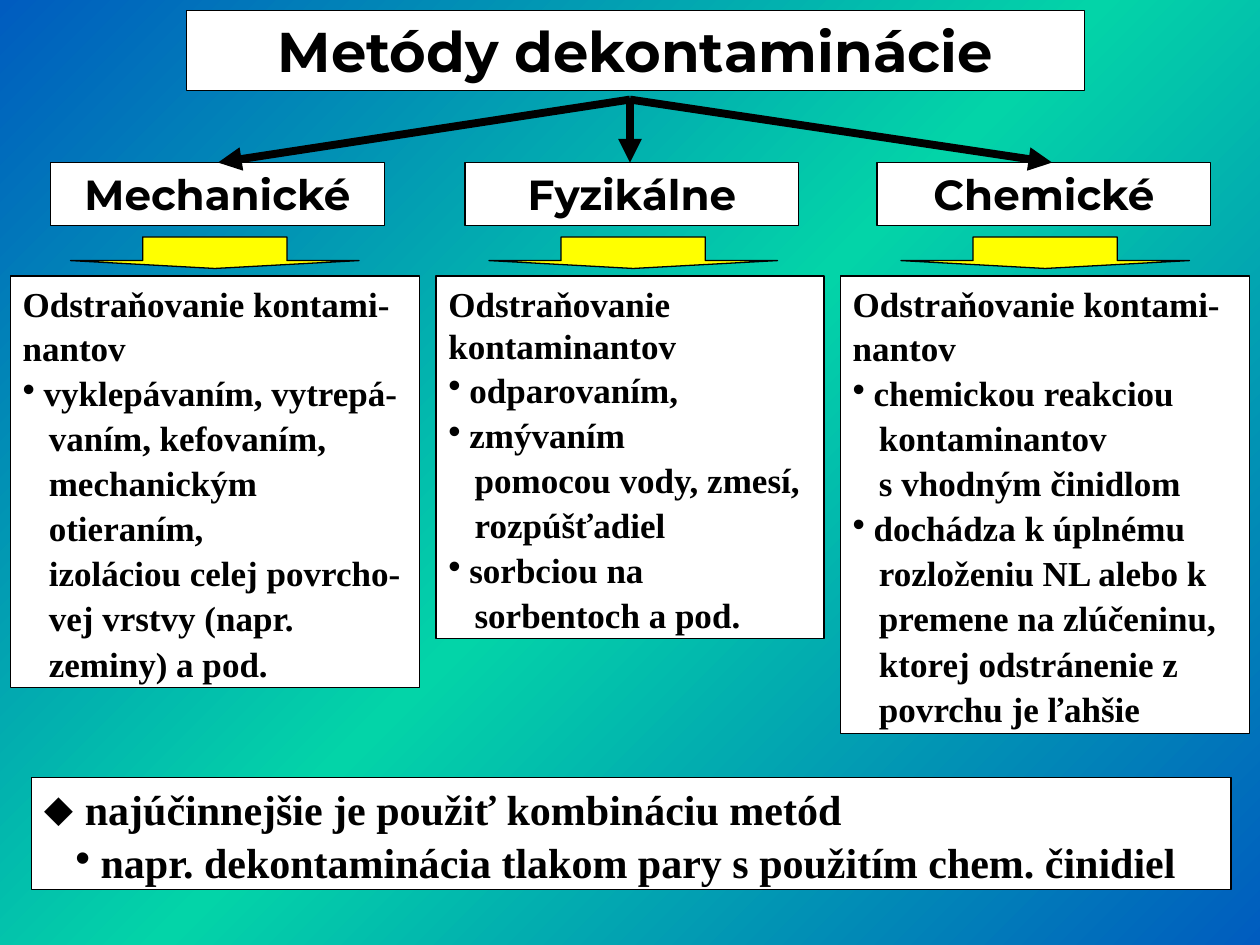
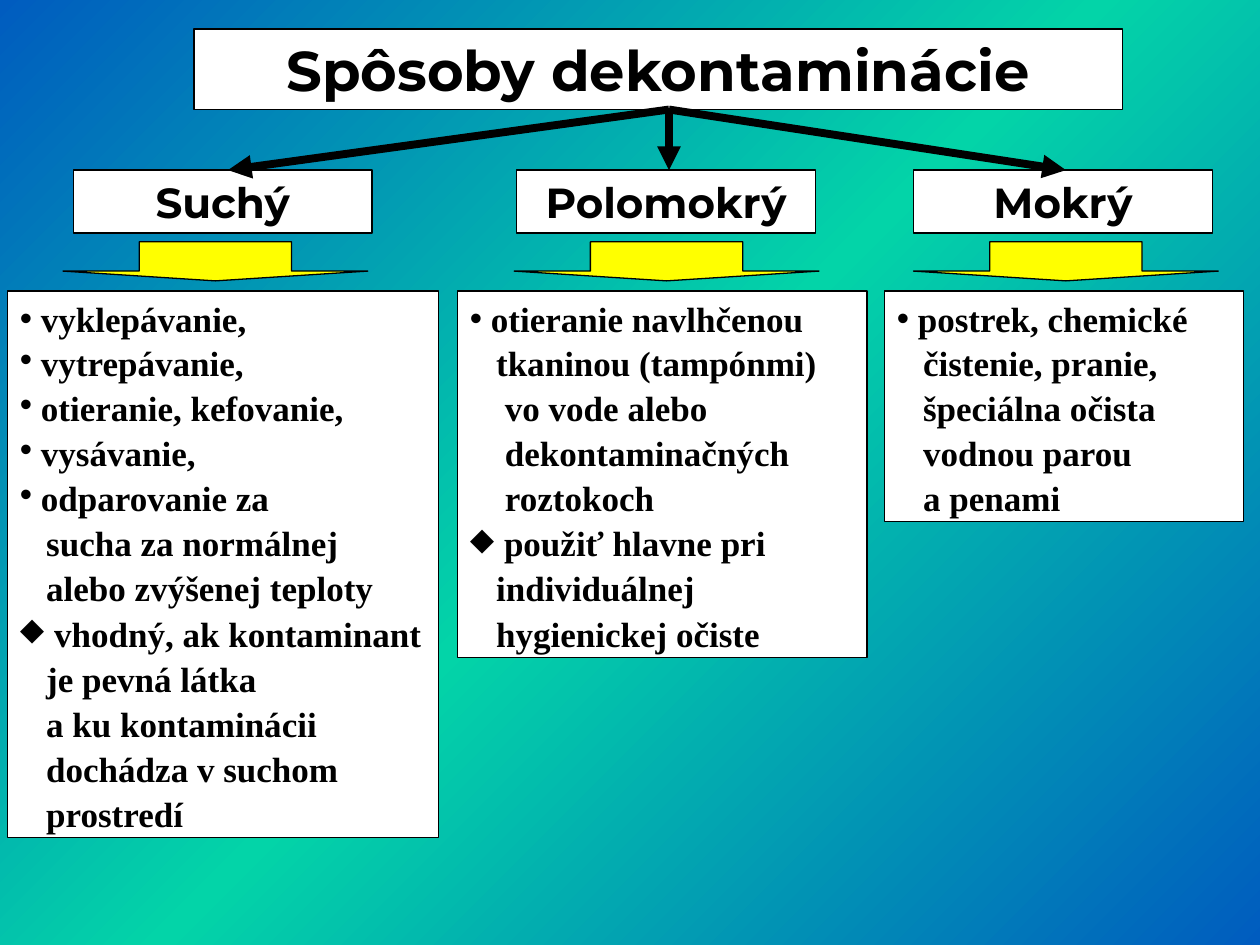
"""Build two slides on the methods and the ways of decontamination."""
import lxml.etree
import pptx
import pptx.dml.color
import pptx.enum.shapes
import pptx.enum.text
import pptx.oxml.ns
import pptx.util

Pt = pptx.util.Pt
qn = pptx.oxml.ns.qn
SHAPES = pptx.enum.shapes.MSO_SHAPE
ALIGN = pptx.enum.text.PP_ALIGN

COLORS = {"ink": "000000", "paper": "FFFFFF", "arrow": "FFFF00", "edge": "005CBF", "middle": "03D4A8"}
HEADING_FONT = "Montserrat"
BODY_FONT = "Times New Roman"

# Leading mark of a line: bullet sign, left margin and first-line indent at 20 pt.
MARKS = {
    "•": ("•", 12, -12),
    "⬥": ("⬥", 19.5, -19.5),
    "◦": ("•", 27, -12),
    ">": (None, 15, 0),
    "»": (None, 20, 0),
}

SLIDES = [
    {
        "title": ("Metódy dekontaminácie", 106.5, 5.8, 513.4),
        "fork": (360, 56.9),
        "heading_top": 92.9, "heading_width": 190.8,
        "arrow_top": 135.4, "arrow_size": (164.9, 18),
        "body_top": 157.7,
        "columns": [
            {"heading": "Mechanické", "heading_left": 28.8, "target": 124.6, "arrow_left": 40.3,
             "body": (5.8, 234, 235.4),
             "lines": ["Odstraňovanie kontami-", "nantov", "•vyklepávaním, vytrepá-",
                       ">vaním, kefovaním,", ">mechanickým", ">otieraním,",
                       ">izoláciou celej povrcho-", ">vej vrstvy (napr.", ">zeminy) a pod."]},
            {"heading": "Fyzikálne", "heading_left": 265.7, "target": 360, "arrow_left": 279.4,
             "body": (249.1, 221.8, 207.4),
             "lines": ["Odstraňovanie kontaminantov", "•odparovaním,", "•zmývaním",
                       ">pomocou vody, zmesí,", ">rozpúšťadiel", "•sorbciou na",
                       ">sorbentoch a pod."]},
            {"heading": "Chemické", "heading_left": 501.1, "target": 601.2, "arrow_left": 514.8,
             "body": (480.2, 234, 261.4),
             "lines": ["Odstraňovanie kontami-", "nantov", "•chemickou reakciou",
                       ">kontaminantov", ">s vhodným činidlom", "•dochádza k úplnému",
                       ">rozloženiu NL alebo k", ">premene na zlúčeninu,",
                       ">ktorej odstránenie z", ">povrchu je ľahšie"]},
        ],
        "summary": ["⬥najúčinnejšie je použiť kombináciu metód",
                    "◦napr. dekontaminácia tlakom pary s použitím chem. činidiel"],
    },
    {
        "title": ("Spôsoby dekontaminácie", 110.9, 16.6, 530.6),
        "fork": (382.3, 62.6),
        "heading_top": 97.2, "heading_width": 170.8,
        "arrow_top": 138.2, "arrow_size": (174.2, 22.3),
        "body_top": 166.3,
        "columns": [
            {"heading": "Suchý", "heading_left": 41.8, "target": 130.3, "arrow_left": 36,
             "body": (4.3, 246.2, 312.5),
             "lines": ["•vyklepávanie,", "•vytrepávanie,", "•otieranie, kefovanie,",
                       "•vysávanie,", "•odparovanie za", ">sucha za normálnej",
                       ">alebo zvýšenej teploty", "⬥vhodný, ak kontaminant",
                       ">je pevná látka", ">a ku kontaminácii", ">dochádza v suchom",
                       ">prostredí"]},
            {"heading": "Polomokrý", "heading_left": 295.2, "target": 382.3, "arrow_left": 293.8,
             "body": (261.4, 234, 209.5),
             "lines": ["•otieranie navlhčenou", ">tkaninou (tampónmi)", "»vo vode alebo",
                       "»dekontaminačných", "»roztokoch", "⬥použiť hlavne pri",
                       ">individuálnej", ">hygienickej očiste"]},
            {"heading": "Mokrý", "heading_left": 522, "target": 609.1, "arrow_left": 522,
             "body": (505.4, 205.2, 131.8),
             "lines": ["•postrek, chemické", ">čistenie, pranie,", ">špeciálna očista",
                       ">vodnou parou", ">a penami"]},
        ],
        "summary": [],
    },
]


def add_block(page, kind, left, top, width, height, fill):
    """Add an outlined preset shape."""
    block = page.shapes.add_shape(kind, Pt(left), Pt(top), Pt(width), Pt(height))
    block.shadow.inherit = False
    block.fill.solid()
    block.fill.fore_color.rgb = pptx.dml.color.RGBColor.from_string(COLORS[fill])
    block.line.color.rgb = pptx.dml.color.RGBColor.from_string(COLORS["ink"])
    block.line.width = Pt(0.75)
    return block


def write_text(box, lines, size=20, font=BODY_FONT, align=ALIGN.LEFT):
    """Write one paragraph per line, with bullets and indents from the marks."""
    frame = box.text_frame
    frame.word_wrap = True
    frame.auto_size = pptx.enum.text.MSO_AUTO_SIZE.SHAPE_TO_FIT_TEXT
    frame.vertical_anchor = pptx.enum.text.MSO_ANCHOR.TOP
    for index, line in enumerate(lines):
        para = frame.paragraphs[0] if index == 0 else frame.add_paragraph()
        para.alignment = align
        if index > 0:
            para.line_spacing = 0.45
            para.space_before = Pt(size * 0.625)
            para.space_after = Pt(size * 0.125)
        if line[0] in MARKS:
            sign, margin, indent = MARKS[line[0]]
            line = line[1:]
            properties = para._p.get_or_add_pPr()
            properties.set("marL", str(Pt(margin * size / 20)))
            properties.set("indent", str(Pt(indent * size / 20)))
            if sign:
                lxml.etree.SubElement(properties, qn("a:buFont"), typeface="Arial")
                lxml.etree.SubElement(properties, qn("a:buChar"), char=sign)
        span = para.add_run()
        span.text = line
        span.font.name = font
        span.font.size = Pt(size)
        span.font.bold = True
        span.font.color.rgb = pptx.dml.color.RGBColor.from_string(COLORS["ink"])


deck = pptx.Presentation()
deck.slide_width, deck.slide_height = Pt(720), Pt(540)

for content in SLIDES:
    page = deck.slides.add_slide(deck.slide_layouts[6])
    backdrop = page.background.fill
    backdrop.gradient()
    backdrop.gradient_angle = 135
    stops = next(page._element.iter(qn("a:gsLst")))
    for stop in list(stops):
        stops.remove(stop)
    for percent, color in ((0, "edge"), (50, "middle"), (100, "edge")):
        stop = lxml.etree.SubElement(stops, qn("a:gs"), pos=str(percent * 1000))
        lxml.etree.SubElement(stop, qn("a:srgbClr"), val=COLORS[color])

    title, left, top, width = content["title"]
    box = add_block(page, SHAPES.RECTANGLE, left, top, width, 46, "paper")
    write_text(box, [title], size=32, font=HEADING_FONT, align=ALIGN.CENTER)

    fork_x, fork_y = content["fork"]
    for column in content["columns"]:
        box = add_block(page, SHAPES.RECTANGLE, column["heading_left"], content["heading_top"],
                        content["heading_width"], 36, "paper")
        write_text(box, [column["heading"]], size=24, font=HEADING_FONT, align=ALIGN.CENTER)

        left, width, height = column["body"]
        box = add_block(page, SHAPES.RECTANGLE, left, content["body_top"], width, height, "paper")
        write_text(box, column["lines"])

        branch = page.shapes.add_connector(
            pptx.enum.shapes.MSO_CONNECTOR.STRAIGHT, Pt(fork_x), Pt(fork_y),
            Pt(column["target"]), Pt(content["heading_top"]))
        branch.line.color.rgb = pptx.dml.color.RGBColor.from_string(COLORS["ink"])
        branch.line.width = Pt(4.5)
        lxml.etree.SubElement(branch.line._get_or_add_ln(), qn("a:tailEnd"), type="triangle")
        lxml.etree.SubElement(branch._element.spPr, qn("a:effectLst"))

        arrow = add_block(page, SHAPES.DOWN_ARROW, column["arrow_left"], content["arrow_top"],
                          *content["arrow_size"], "arrow")
        arrow.adjustments[0] = 0.5
        arrow.adjustments[1] = 0.25

    if content["summary"]:
        box = add_block(page, SHAPES.RECTANGLE, 18, 444.2, 685.4, 64, "paper")
        write_text(box, content["summary"], size=24)

deck.save("out.pptx")
